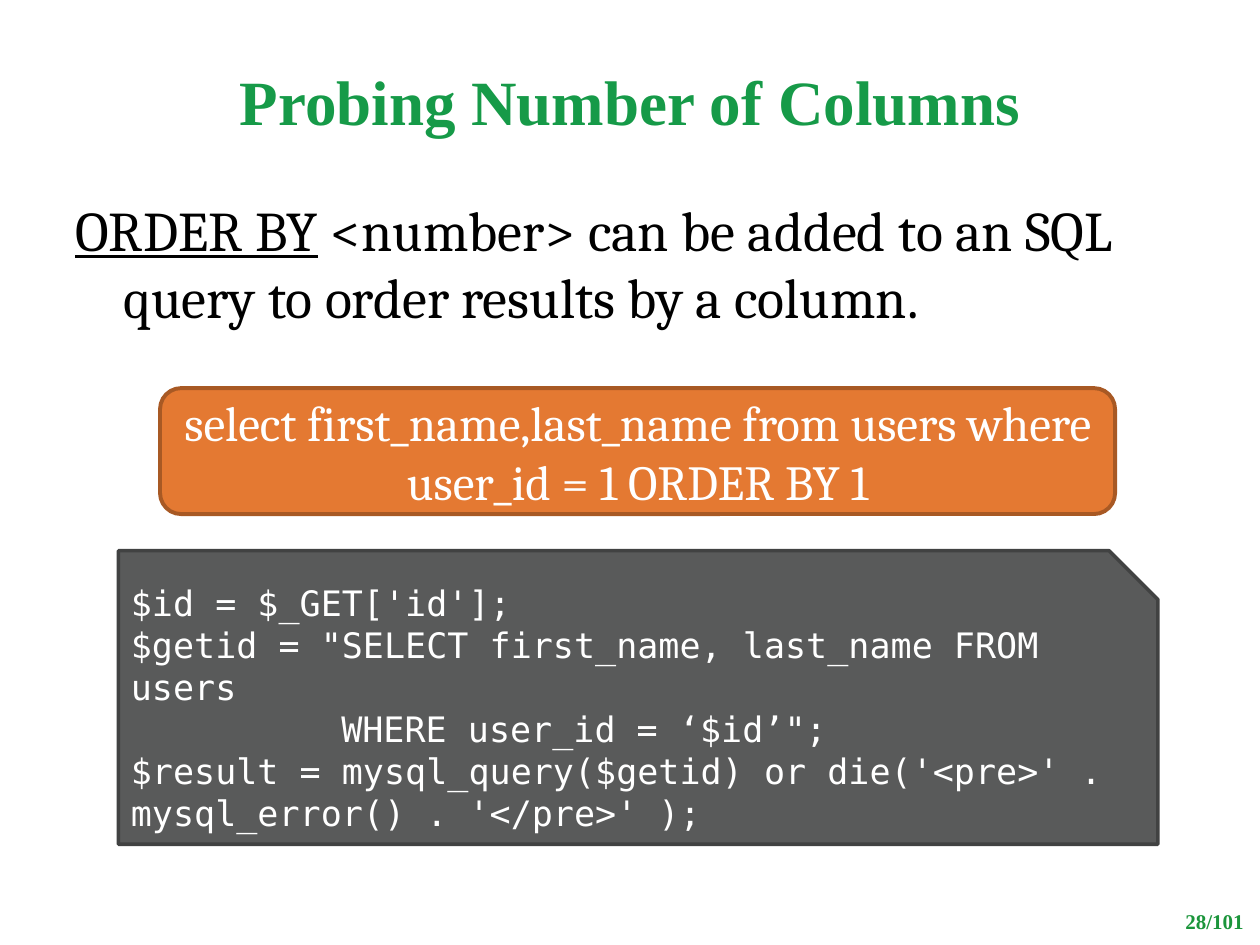
"""Build a slide on probing the number of columns with ORDER BY."""
from lxml import etree
from pptx import Presentation
from pptx.dml.color import RGBColor
from pptx.enum.shapes import MSO_SHAPE
from pptx.enum.text import MSO_ANCHOR, PP_ALIGN
from pptx.oxml.ns import qn
from pptx.util import Inches, Pt

ROUNDED, SNIPPED = MSO_SHAPE.ROUNDED_RECTANGLE, MSO_SHAPE.SNIP_1_RECTANGLE
LEFT, CENTER, RIGHT = PP_ALIGN.LEFT, PP_ALIGN.CENTER, PP_ALIGN.RIGHT
TOP, MIDDLE = MSO_ANCHOR.TOP, MSO_ANCHOR.MIDDLE
WIDTH, HEIGHT = Inches(10), Inches(7.5)
COLORS = {
    "title": "169A48", "number": "1B953B", "body": "000000", "light": "FFFFFF",
    "query": "E47932", "query_edge": "A85924",
    "code": "595A5A", "code_edge": "414242",
}
FORMATS = {
    "title": {"name": "Times New Roman", "size": Pt(36), "bold": True},
    "number": {"name": "Times New Roman", "size": Pt(12), "bold": True},
    "body": {"name": "Cambria", "size": Pt(32)},
    "query": {"name": "Cambria", "size": Pt(28)},
    "code": {"name": "DejaVu Sans Mono", "size": Pt(20)},
}
CODE_LINES = [
    "$id = $_GET['id'];",
    "$getid = \"SELECT first_name, last_name FROM users \n\tWHERE user_id = ‘$id’\";",
    "$result = mysql_query($getid) or die('<pre>' . mysql_error() . '</pre>' );",
]


def color(key):
    """Return the palette colour for a key."""
    return RGBColor.from_string(COLORS[key])


def place(left, top, width, height):
    """Turn percentages of the slide into a position and a size."""
    return [int(share * side / 100) for share, side in
            zip((left, top, width, height), (WIDTH, HEIGHT) * 2)]


def style(run, role, ink):
    """Give a run the font values of its role."""
    for attribute, value in FORMATS[role].items():
        setattr(run.font, attribute, value)
    run.font.color.rgb = color(ink)


def write(shape, lines, role, ink, align=LEFT, anchor=TOP):
    """Fill a shape with one styled paragraph per line."""
    frame = shape.text_frame
    frame.word_wrap = True
    frame.vertical_anchor = anchor
    for index, line in enumerate(lines):
        paragraph = frame.add_paragraph() if index else frame.paragraphs[0]
        paragraph.text = line
        paragraph.alignment = align
        for run in paragraph.runs:
            style(run, role, ink)
    return frame


def add_text(slide, area, lines, role, **layout):
    """Add a text box in the colour of its role."""
    return write(slide.shapes.add_textbox(*place(*area)), lines, role, role, **layout)


def add_panel(slide, outline, area, lines, role, edge_width, **layout):
    """Add a filled, outlined panel with light text."""
    panel = slide.shapes.add_shape(outline, *place(*area))
    panel.shadow.inherit = False
    panel.fill.solid()
    panel.fill.fore_color.rgb = color(role)
    panel.line.color.rgb = color(role + "_edge")
    panel.line.width = Pt(edge_width)
    return write(panel, lines, role, "light", **layout)


def set_tab(paragraph, position):
    """Set a single left tab stop in a paragraph."""
    tabs = etree.SubElement(paragraph._p.get_or_add_pPr(), qn("a:tabLst"))
    etree.SubElement(tabs, qn("a:tab"), pos=str(position), algn="l")


def add_statement(slide, area, keyword, rest):
    """Add a hanging statement that opens with an underlined keyword."""
    statement = add_text(slide, area, [keyword], "body").paragraphs[0]
    statement.runs[0].font.underline = True
    explanation = statement.add_run()
    explanation.text = rest
    style(explanation, "body", "body")
    statement.space_before = Pt(6.4)
    properties = statement._p.get_or_add_pPr()
    hang = Inches(0.38)
    properties.set("marL", str(hang))
    properties.set("indent", str(-hang))


def main():
    """Build and save the slide."""
    deck = Presentation()
    deck.slide_width, deck.slide_height = WIDTH, HEIGHT
    slide = deck.slides.add_slide(deck.slide_layouts[6])

    add_text(slide, (91, 95.47, 8.7, 4), ["28/101"], "number", align=RIGHT)
    title = add_text(slide, (5, 2.27, 90, 16.67), ["Probing Number of Columns"],
                     "title", align=CENTER, anchor=MIDDLE)
    title.margin_left = title.margin_right = 0
    add_statement(slide, (5, 20, 90, 69.33), "ORDER BY",
                  " <number> can be added to an SQL query to order results by a column.")
    add_panel(slide, ROUNDED, (12.7, 41.07, 75.8, 13.33),
              ["select first_name,last_name from users where user_id = 1 ORDER BY 1"],
              "query", 2.25, align=CENTER, anchor=MIDDLE)
    code = add_panel(slide, SNIPPED, (9.4, 58.27, 82.5, 31.07), CODE_LINES, "code", 2)
    set_tab(code.paragraphs[1], Inches(1.67))

    deck.save("out.pptx")


if __name__ == "__main__":
    main()
